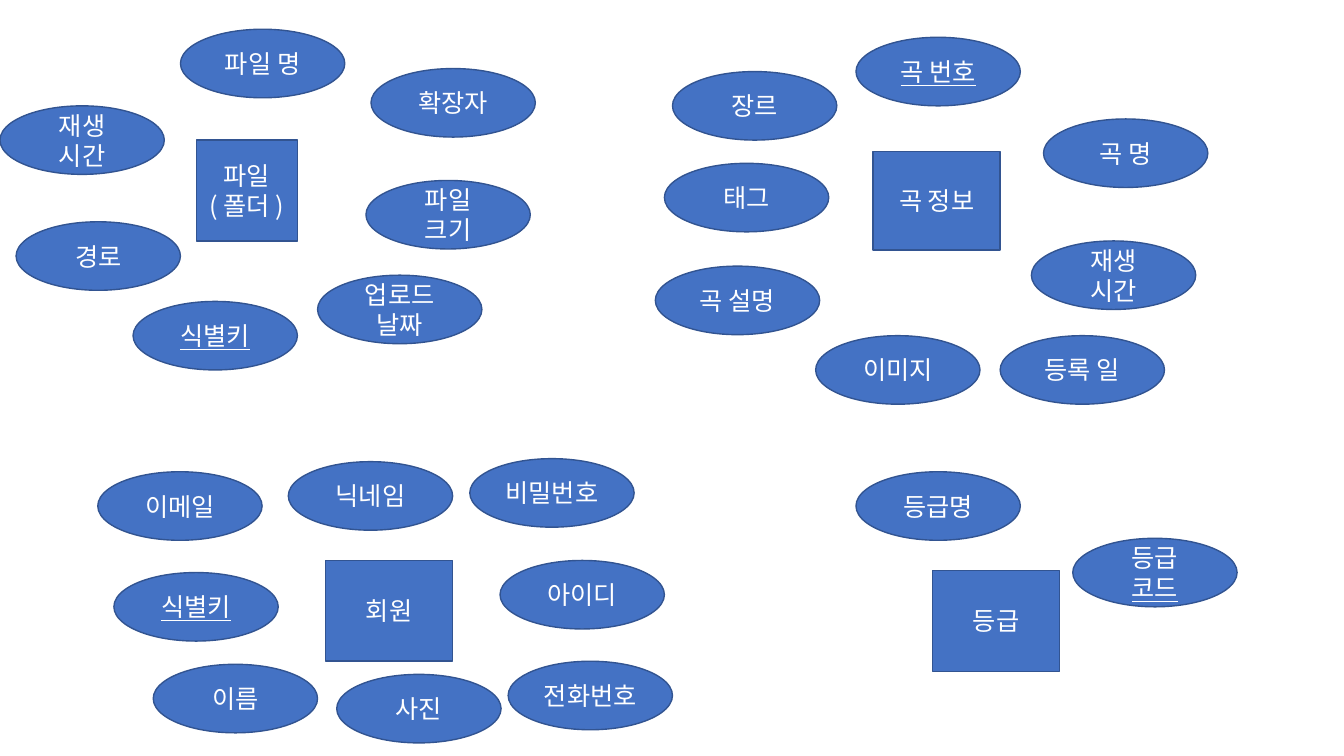
from lxml.etree import SubElement
from pptx import Presentation
from pptx.dml.color import RGBColor
from pptx.enum.shapes import MSO_SHAPE as Shape
from pptx.enum.text import MSO_ANCHOR as Anchor, PP_ALIGN as Align
from pptx.oxml.ns import qn
from pptx.util import Inches, Pt

COLORS = {"fill": "4472C4", "outline": "325491", "text": "FFFFFF"}
FONT = "Noto Sans CJK KR"
ATTRIBUTE_SIZE = (1.63, 0.68)

# Each entity: label, (left, top, width, height), then its attributes as
# (left, top, plain text, underlined key text).
ENTITIES = [
    ("파일\v( 폴더 )", (1.95, 1.39, 1, 1), [
        (1.79, 0.29, "파일 명", ""),
        (3.68, 0.68, "확장자", ""),
        (3.15, 2.73, "업로드 날짜", ""),
        (3.63, 1.79, "파일 크기", ""),
        (0.16, 2.2, "경로", ""),
        (0, 1.05, "재생 시간", ""),
        (1.32, 2.99, "", "식별키"),
    ]),
    ("곡 정보", (8.66, 1.5, 1.26, 0.98), [
        (8.49, 0.37, "", "곡 번호"),
        (10.35, 1.18, "곡 명", ""),
        (10.23, 2.39, "재생 시간", ""),
        (9.92, 3.33, "등록 일", ""),
        (6.5, 2.64, "곡 설명", ""),
        (6.67, 0.71, "장르", ""),
        (8.09, 3.33, "이미지", ""),
        (6.59, 1.62, "태그", ""),
    ]),
    ("회원", (3.23, 5.56, 1.26, 1), [
        (1.13, 5.68, "", "식별키"),
        (4.96, 5.56, "아이디", ""),
        (2.86, 4.58, "닉네임", ""),
        (4.66, 4.55, "비밀번호", ""),
        (1.52, 6.59, "이름", ""),
        (3.34, 6.69, "사진", ""),
        (5.04, 6.56, "전화번호", ""),
        (0.97, 4.68, "이메일", ""),
    ]),
    ("등급", (9.25, 5.66, 1.26, 1), [
        (8.49, 4.68, "등급명", ""),
        (10.64, 5.34, "등급 ", "코드"),
    ]),
]

deck = Presentation()
deck.slide_width, deck.slide_height = Inches(13.33), Inches(7.5)
page = deck.slides.add_slide(deck.slide_layouts[6])


def add_node(kind, bounds, plain, key=""):
    """Draw one labelled entity or attribute, with the key text underlined."""
    box = page.shapes.add_shape(kind, *[Inches(length) for length in bounds])
    box.shadow.inherit = False
    box.fill.solid()
    box.fill.fore_color.rgb = RGBColor.from_string(COLORS["fill"])
    box.line.color.rgb = RGBColor.from_string(COLORS["outline"])
    box.line.width = Pt(1)
    frame = box.text_frame
    frame.word_wrap = True
    frame.vertical_anchor = Anchor.MIDDLE
    frame.text = plain
    para = frame.paragraphs[0]
    para.alignment = Align.CENTER
    if key:
        span = para.add_run()
        span.text = key
        span.font.underline = True
    for span in para.runs:
        span.font.size = Pt(18)
        span.font.name = FONT
        span.font.color.rgb = RGBColor.from_string(COLORS["text"])
        SubElement(span._r.get_or_add_rPr(), qn("a:ea"), typeface=FONT)


for label, bounds, attributes in ENTITIES:
    add_node(Shape.RECTANGLE, bounds, label)
    for left, top, plain, key in attributes:
        add_node(Shape.OVAL, (left, top, *ATTRIBUTE_SIZE), plain, key)

deck.save("out.pptx")
